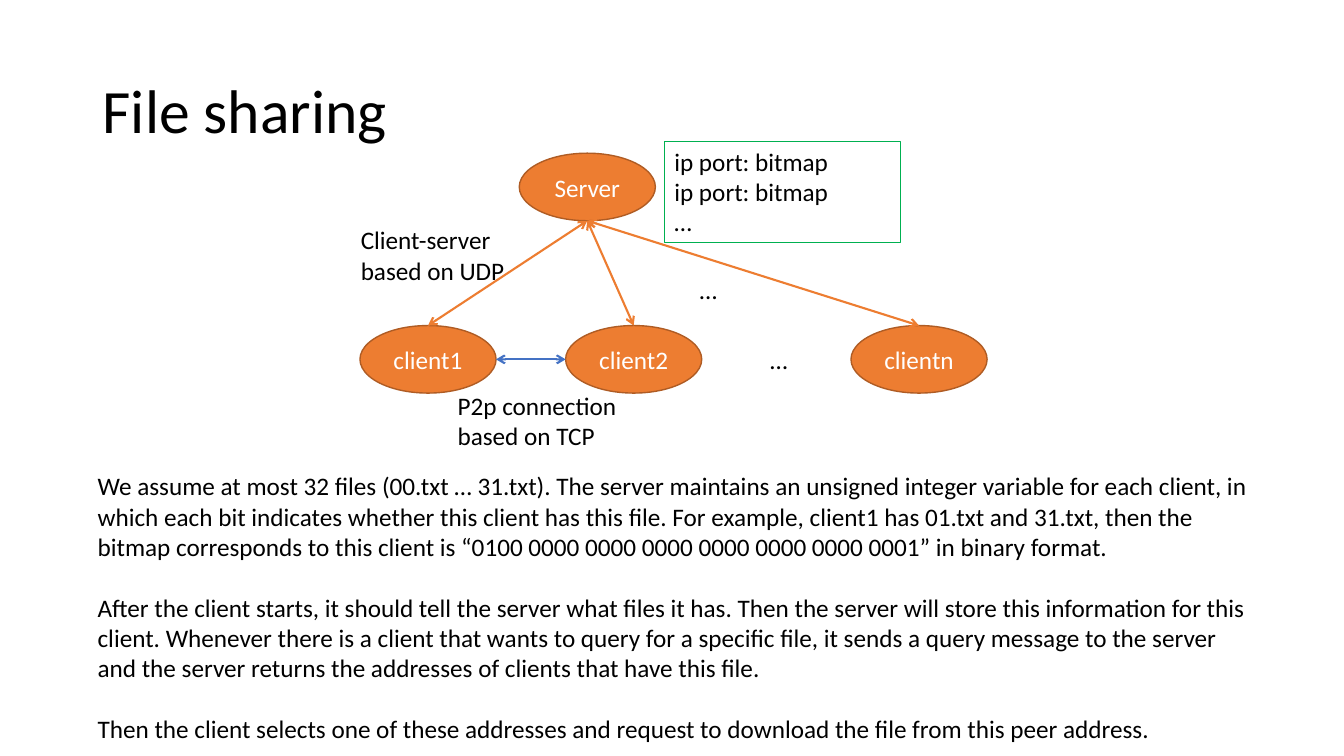
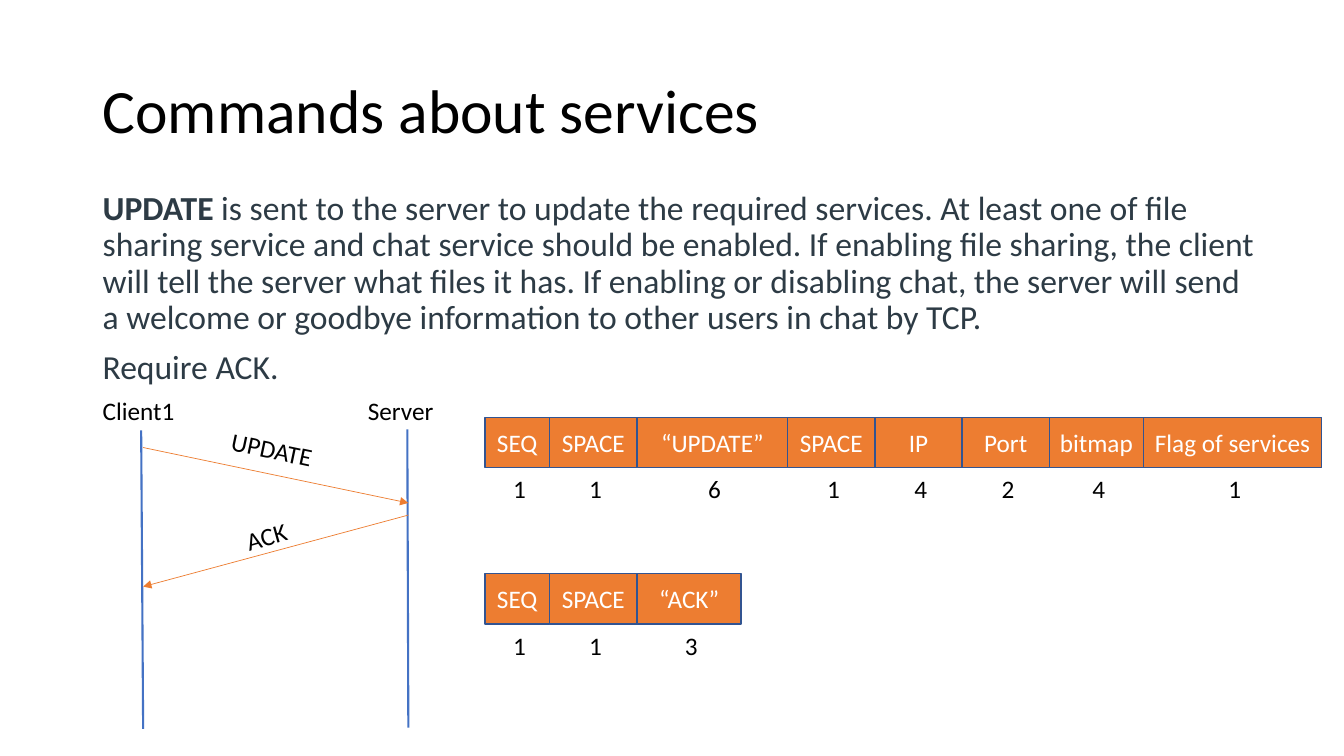
"""Build two slides on a file sharing service: its architecture and its UPDATE command."""
from dataclasses import dataclass

from lxml.etree import SubElement
from pptx import Presentation
from pptx.dml.color import RGBColor
from pptx.enum.shapes import MSO_CONNECTOR, MSO_SHAPE
from pptx.enum.text import MSO_ANCHOR, PP_ALIGN
from pptx.oxml.ns import qn
from pptx.util import Inches, Pt


@dataclass(frozen=True)
class Theme:
    font: str = "Calibri"
    black: str = "000000"
    white: str = "FFFFFF"
    slate: str = "2D3B45"
    orange: str = "ED7D31"
    rust: str = "AF5C24"
    blue: str = "4472C4"
    navy: str = "325491"
    green: str = "00B050"
    title_size: int = 44
    body_size: int = 24
    label_size: int = 18


THEME = Theme()

SHARING_TITLE = "File sharing"
SHARING_TEXT = [
    "We assume at most 32 files (00.txt … 31.txt). The server maintains an unsigned integer "
    "variable for each client, in which each bit indicates whether this client has this file. "
    "For example, client1 has 01.txt and 31.txt, then the bitmap corresponds to this client is "
    "“0100 0000 0000 0000 0000 0000 0000 0001” in binary format.",
    "After the client starts, it should tell the server what files it has. Then the server will "
    "store this information for this client. Whenever there is a client that wants to query for "
    "a specific file, it sends a query message to the server and the server returns the "
    "addresses of clients that have this file.",
    "Then the client selects one of these addresses and request to download the file from this "
    "peer address.",
]
NODE_SIZE = (1.35, 0.67)
SERVER = ("Server", 5.15, 1.52)
CLIENT_TOP = 3.23
CLIENTS = [("client1", 3.57), ("client2", 5.61), ("clientn", 8.44)]
NETWORK_LABELS = [
    ("…", (7.54, 3.37, 0.82, 0.4)),
    ("…", (6.84, 2.67, 0.82, 0.4)),
    ("Client-server based on UDP", (3.48, 2.18, 1.8, 0.71)),
    ("P2p connection based on TCP", (4.44, 3.82, 1.94, 0.71)),
]
ADDRESS_TABLE = ["ip port: bitmap", "ip port: bitmap", "…"]

COMMANDS_TITLE = "Commands about services"
COMMANDS_TEXT = [
    [
        ("UPDATE", True),
        (" is sent to the server to update the required services. At least one of file sharing "
         "service and chat service should be enabled. If enabling file sharing, the client will "
         "tell the server what files it has. If enabling or disabling chat, the server will send "
         "a welcome or goodbye information to other users in chat by TCP.", False),
    ],
    "Require ACK.",
]
LIFELINES = [("Client1", 0.92, (1.4, 4.27), (1.42, 7.23)),
             ("Server", 3.55, (4.04, 4.26), (4.05, 7.22))]
MESSAGES = [
    ("UPDATE", (1.42, 4.44), (4.05, 4.99), (2.19, 4.3, 1.43, 0.4), 11.9),
    ("ACK", (4.05, 5.11), (1.42, 5.82), (2.34, 5.12, 0.61, 0.4), 344.2),
]
PACKET_LEFT = 4.81
FIELD_HEIGHT = 0.5
PACKETS = [
    (4.14, [("SEQ", 1, 0.64), ("SPACE", 1, 0.87), ("“UPDATE”", 6, 1.49), ("SPACE", 1, 0.87),
            ("IP", 4, 0.86), ("Port", 2, 0.87), ("bitmap", 4, 0.93),
            ("Flag of services", 1, 1.77)]),
    (5.69, [("SEQ", 1, 0.64), ("SPACE", 1, 0.87), ("“ACK”", 3, 1.03)]),
]


def rgb(color):
    return RGBColor.from_string(color)


def write(frame, paragraphs, size=THEME.label_size, color=THEME.black, align=PP_ALIGN.LEFT,
          anchor=MSO_ANCHOR.TOP, line_spacing=None, gap=0):
    frame.word_wrap = True
    frame.vertical_anchor = anchor
    for index, content in enumerate(paragraphs):
        paragraph = frame.add_paragraph() if index else frame.paragraphs[0]
        runs = [(content, False)] if isinstance(content, str) else content
        for words, bold in runs:
            run = paragraph.add_run()
            run.text = words
            if bold:
                run.font.bold = True
        paragraph.alignment = align
        paragraph.line_spacing = line_spacing
        if index and gap:
            paragraph.space_before = Pt(gap)
        paragraph.font.name = THEME.font
        paragraph.font.size = Pt(size)
        paragraph.font.color.rgb = rgb(color)


def add_text(slide, area, paragraphs, rotation=0, **style):
    box = slide.shapes.add_textbox(*map(Inches, area))
    box.rotation = rotation
    write(box.text_frame, paragraphs, **style)
    return box


def add_block(slide, outline, area, label, border):
    block = slide.shapes.add_shape(outline, *map(Inches, area))
    block.shadow.inherit = False
    block.fill.solid()
    block.fill.fore_color.rgb = rgb(THEME.orange)
    block.line.color.rgb = rgb(border)
    block.line.width = Pt(1)
    write(block.text_frame, [label], color=THEME.white, align=PP_ALIGN.CENTER,
          anchor=MSO_ANCHOR.MIDDLE)


def add_line(slide, start, end, color, width=1.5, head=None, tail=None):
    line = slide.shapes.add_connector(MSO_CONNECTOR.STRAIGHT, *map(Inches, (*start, *end)))
    line.line.color.rgb = rgb(color)
    line.line.width = Pt(width)
    properties = line._element.spPr
    for tag, arrow in (("a:headEnd", head), ("a:tailEnd", tail)):
        if arrow:
            SubElement(properties.find(qn("a:ln")), qn(tag), type=arrow)
    SubElement(properties, qn("a:effectLst"))


def add_titled_slide(deck, title):
    slide = deck.slides.add_slide(deck.slide_layouts[6])
    add_text(slide, (0.92, 0.4, 11.5, 1.45), [title], size=THEME.title_size,
             anchor=MSO_ANCHOR.MIDDLE, line_spacing=0.9)
    return slide


def build_sharing(deck):
    slide = add_titled_slide(deck, SHARING_TITLE)
    add_text(slide, (0.87, 4.62, 11.74, 2.83), SHARING_TEXT, gap=22)

    width, height = NODE_SIZE
    nodes = [SERVER] + [(name, left, CLIENT_TOP) for name, left in CLIENTS]
    for name, left, top in nodes:
        add_block(slide, MSO_SHAPE.OVAL, (left, top, *NODE_SIZE), name, THEME.rust)

    _, server_left, server_top = SERVER
    server_foot = (server_left + width / 2, server_top + height)
    for _, left in CLIENTS:
        add_line(slide, server_foot, (left + width / 2, CLIENT_TOP), THEME.orange,
                 head="arrow", tail="arrow")
    (_, first_left), (_, second_left), _ = CLIENTS
    peer_y = CLIENT_TOP + height / 2
    add_line(slide, (first_left + width, peer_y), (second_left, peer_y), THEME.blue,
             head="arrow", tail="arrow")

    for label, area in NETWORK_LABELS:
        add_text(slide, area, [label])
    addresses = add_text(slide, (6.59, 1.4, 2.34, 1.01), ADDRESS_TABLE)
    addresses.line.color.rgb = rgb(THEME.green)
    addresses.line.width = Pt(0.75)


def build_commands(deck):
    slide = add_titled_slide(deck, COMMANDS_TITLE)
    add_text(slide, (0.92, 1.85, 11.66, 2.02), COMMANDS_TEXT, size=THEME.body_size,
             color=THEME.slate, line_spacing=0.9, gap=10)

    for name, left, start, end in LIFELINES:
        add_line(slide, start, end, THEME.blue)
        add_text(slide, (left, 3.87, 1, 0.4), [name])
    for name, start, end, area, angle in MESSAGES:
        add_line(slide, start, end, THEME.orange, width=0.5, tail="triangle")
        add_text(slide, area, [name], rotation=angle)

    for top, fields in PACKETS:
        left = PACKET_LEFT
        for name, length, width in fields:
            add_block(slide, MSO_SHAPE.RECTANGLE, (left, top, width, FIELD_HEIGHT), name,
                      THEME.navy)
            add_text(slide, (left + width / 2 - 0.14, top + FIELD_HEIGHT + 0.01, 0.27, 0.4),
                     [str(length)])
            left += width


def main():
    deck = Presentation()
    deck.slide_width, deck.slide_height = Inches(13.33), Inches(7.5)
    build_sharing(deck)
    build_commands(deck)
    deck.save("out.pptx")


if __name__ == "__main__":
    main()
